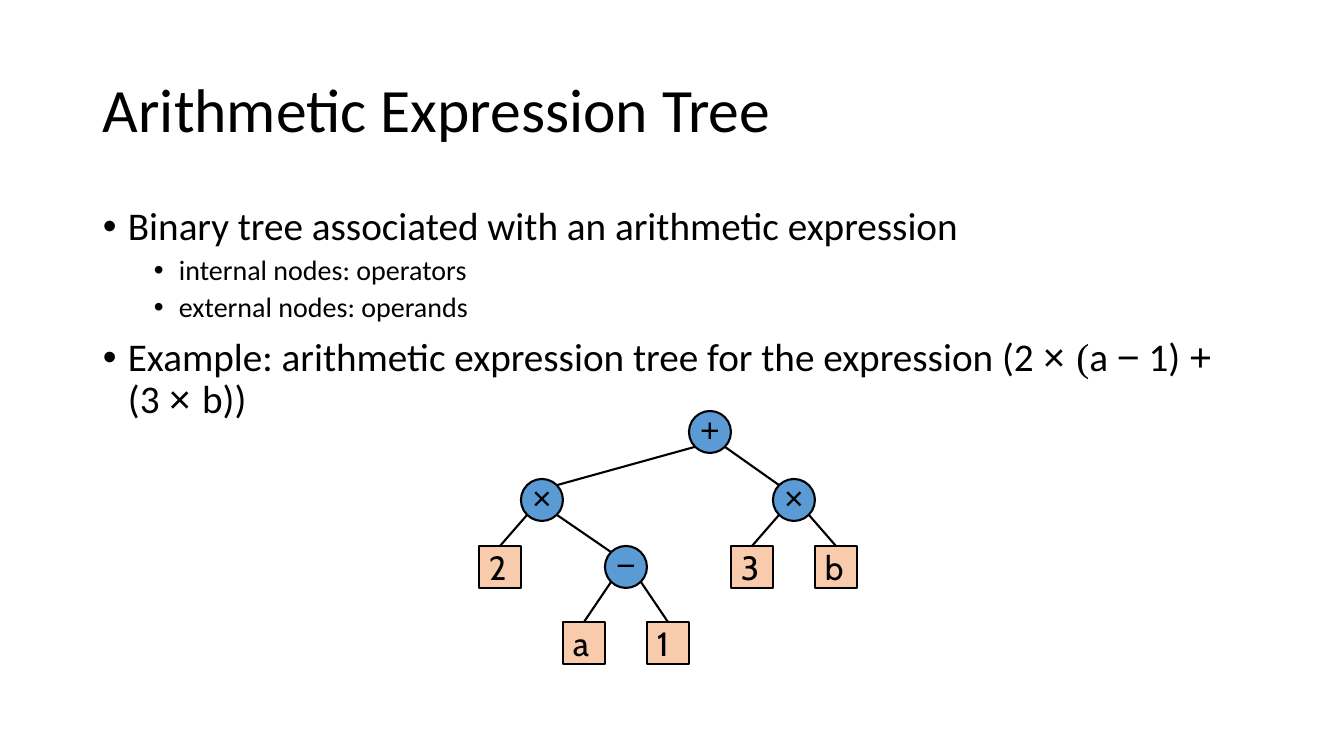
"""Build a slide showing the binary tree of an arithmetic expression."""
from math import sqrt

from lxml.etree import SubElement
from pptx import Presentation
from pptx.dml.color import RGBColor as Rgb
from pptx.enum.shapes import MSO_CONNECTOR as Link, MSO_SHAPE as Kind
from pptx.enum.text import MSO_ANCHOR as Anchor, PP_ALIGN as Align
from pptx.oxml.ns import qn
from pptx.util import Pt

TITLE = "Arithmetic Expression Tree"
BULLETS = [
    (0, [("body", "Binary tree associated with an arithmetic expression")]),
    (1, [("body", "internal nodes: operators")]),
    (1, [("body", "external nodes: operands")]),
    (0, [
        ("body", "Example: arithmetic expression tree for the expression (2 "),
        ("symbol", "× "), ("bracket", "("), ("body", "a "), ("symbol", "−"),
        ("body", " 1) "), ("symbol", "+"), ("body", " (3 "),
        ("symbol", "× "), ("body", "b))"),
    ]),
]
TREE = ("+", ("×", "2", ("−", "a", "1")), ("×", "3", "b"))

THEME = {
    "ink": Rgb(0x00, 0x00, 0x00),
    "operator": Rgb(0x5B, 0x9B, 0xD5),
    "operand": Rgb(0xF8, 0xCB, 0xAD),
    "fonts": {"body": "Calibri", "symbol": "Arial",
              "bracket": "Times New Roman", "operand": "Cabin"},
    "title_size": 44,
    "node_size": 24,
    "line_width": 1.5,
}
LEVELS = [
    {"size": 28, "before": 10, "indent": 25},
    {"size": 20, "before": 5, "indent": 76},
]
HANG = 25
SLIDE = (1344, 756)
TITLE_BOX = (93, 40, 1159, 146)
BODY_BOX = (93, 202, 1159, 480)
NODE = 42
TREE_LEFT = 479
ROW_TOPS = [411, 479, 546, 622]
SCALE = 914400 / 100.8


def emu(px):
    return round(px * SCALE)


def apply(target, values):
    for name, value in values.items():
        setattr(target, name, value)


def add_span(para, text, font, size):
    span = para.add_run()
    span.text = text
    apply(span.font, {"name": THEME["fonts"][font], "size": Pt(size)})
    span.font.color.rgb = THEME["ink"]


def add_bullet(para, level):
    style = LEVELS[level]
    apply(para, {"level": level, "line_spacing": 0.9,
                 "space_before": Pt(style["before"])})
    props = para._p.get_or_add_pPr()
    props.set("marL", str(emu(style["indent"])))
    props.set("indent", str(-emu(HANG)))
    SubElement(props, qn("a:buFont")).set("typeface", "Arial")
    SubElement(props, qn("a:buChar")).set("char", "•")


def add_box(page, place, anchor):
    frame = page.shapes.add_textbox(*map(emu, place)).text_frame
    apply(frame, {"word_wrap": True, "vertical_anchor": anchor})
    return frame


def place_tree(tree, depth=0, first=0):
    """Return the node record and the next free column, in infix order."""
    if isinstance(tree, str):
        return {"text": tree, "depth": depth, "column": first, "children": []}, first + 1
    text, left, right = tree
    left_node, column = place_tree(left, depth + 1, first)
    right_node, after = place_tree(right, depth + 1, column + 1)
    return {"text": text, "depth": depth, "column": column,
            "children": [left_node, right_node]}, after


def add_node(page, node):
    x = TREE_LEFT + node["column"] * NODE
    y = ROW_TOPS[node["depth"]]
    node["center"] = (x + NODE / 2, y + NODE / 2)
    role = "operator" if node["children"] else "operand"
    kind = Kind.OVAL if node["children"] else Kind.RECTANGLE
    shape = page.shapes.add_shape(kind, *map(emu, (x, y, NODE, NODE)))
    shape.shadow.inherit = False
    shape.fill.solid()
    shape.fill.fore_color.rgb = THEME[role]
    shape.line.color.rgb = THEME["ink"]
    shape.line.width = Pt(THEME["line_width"])
    frame = shape.text_frame
    apply(frame, {"word_wrap": False, "vertical_anchor": Anchor.MIDDLE})
    para = frame.paragraphs[0]
    if node["children"]:
        apply(frame, {"margin_left": 0, "margin_right": 0,
                      "margin_top": 0, "margin_bottom": emu(5)})
    para.alignment = Align.CENTER if node["children"] else Align.LEFT
    font = "symbol" if node["children"] else "operand"
    add_span(para, node["text"], font, THEME["node_size"])
    node["shape"] = shape
    for child in node["children"]:
        add_node(page, child)


def add_edges(page, node):
    reach = NODE / 2 / sqrt(2)
    x, y = node["center"]
    for side, child in zip((-1, 1), node["children"]):
        child_x, child_y = child["center"]
        ends = (x + side * reach, y + reach,
                child_x - side * reach, child_y - reach)
        edge = page.shapes.add_connector(Link.STRAIGHT, *map(emu, ends))
        if not child["children"]:
            edge.end_connect(child["shape"], 0)
        edge.line.color.rgb = THEME["ink"]
        edge.line.width = Pt(THEME["line_width"])
        SubElement(edge._element.spPr, qn("a:effectLst"))
        add_edges(page, child)


def main():
    deck = Presentation()
    apply(deck, {"slide_width": emu(SLIDE[0]), "slide_height": emu(SLIDE[1])})
    page = deck.slides.add_slide(deck.slide_layouts[6])

    heading = add_box(page, TITLE_BOX, Anchor.MIDDLE).paragraphs[0]
    heading.line_spacing = 0.9
    add_span(heading, TITLE, "body", THEME["title_size"])

    body = add_box(page, BODY_BOX, Anchor.TOP)
    for index, (level, spans) in enumerate(BULLETS):
        para = body.add_paragraph() if index else body.paragraphs[0]
        add_bullet(para, level)
        for font, text in spans:
            add_span(para, text, font, LEVELS[level]["size"])

    root, _ = place_tree(TREE)
    add_node(page, root)
    add_edges(page, root)
    deck.save("out.pptx")


if __name__ == "__main__":
    main()
